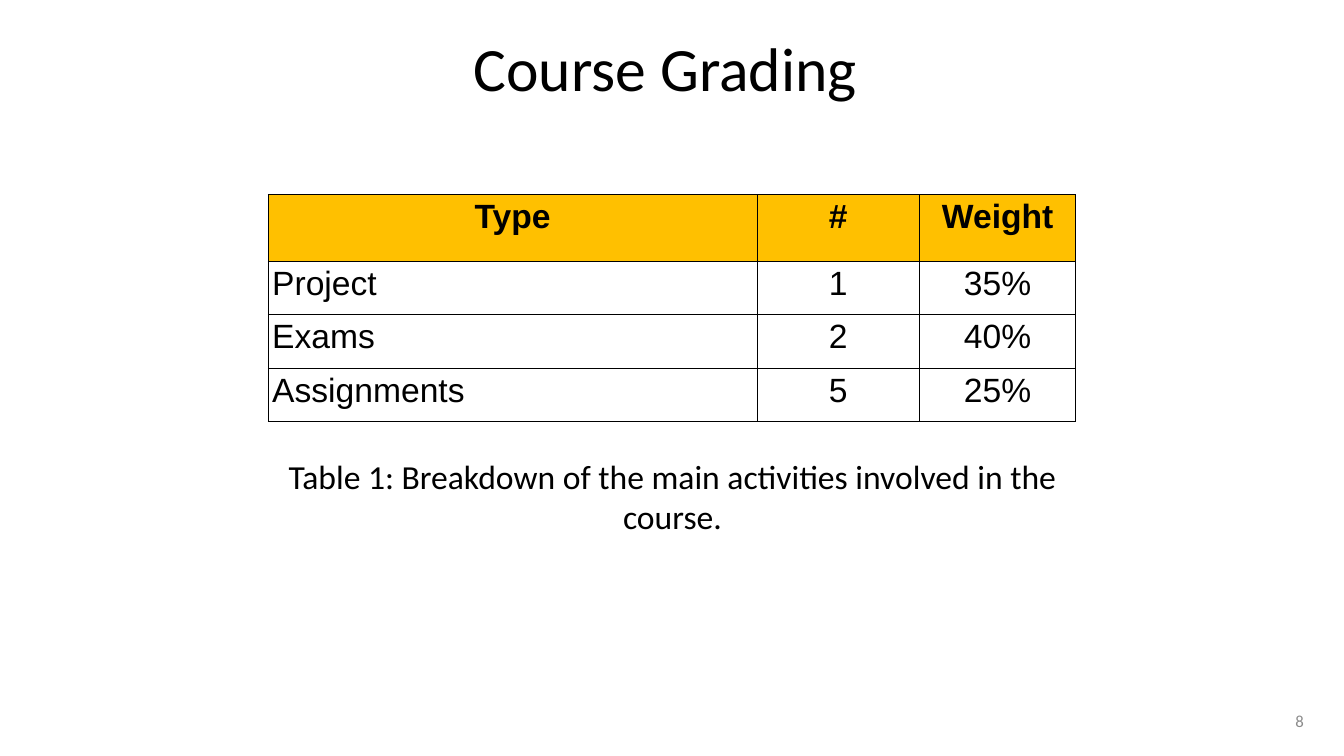
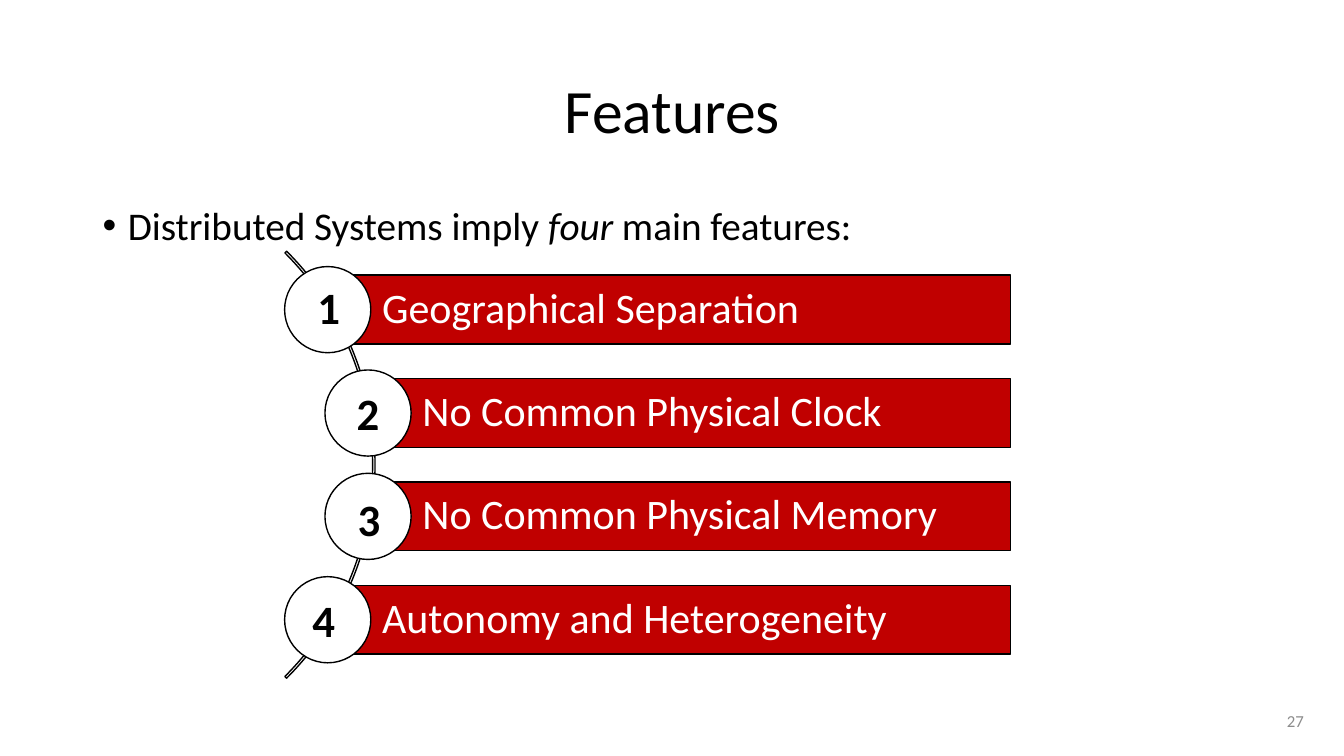
from lxml.etree import SubElement
from pptx import Presentation
from pptx.dml.color import RGBColor
from pptx.enum.shapes import MSO_SHAPE
from pptx.enum.text import MSO_ANCHOR, PP_ALIGN
from pptx.oxml.ns import qn
from pptx.util import Inches, Pt

BLACK = RGBColor(0x00, 0x00, 0x00)
WHITE = RGBColor(0xFF, 0xFF, 0xFF)
GRAY = RGBColor(0x8C, 0x8C, 0x8C)
AMBER = RGBColor(0xFF, 0xC0, 0x00)
RED = RGBColor(0xC0, 0x00, 0x00)
BODY_FONT, TABLE_FONT = "Calibri", "Arial"
PAGE_NUMBER_BOX = (10.03, 6.95, 3, 0.4)


def write(tf, runs, size, font=BODY_FONT, color=BLACK, bold=False,
          align=PP_ALIGN.LEFT, anchor=MSO_ANCHOR.TOP, spacing=None,
          wrap=True, bullet=None):
    """Fill a text frame with one paragraph of (text, italic) runs or a string."""
    tf.word_wrap = wrap
    tf.vertical_anchor = anchor
    p = tf.paragraphs[0]
    p.alignment = align
    if spacing:
        p.line_spacing = spacing
    if bullet:
        pPr = p._p.get_or_add_pPr()
        pPr.set("marL", str(Inches(0.25)))
        pPr.set("indent", str(-Inches(0.25)))
        SubElement(pPr, qn("a:buFont")).set("typeface", "Arial")
        SubElement(pPr, qn("a:buChar")).set("char", bullet)
    for text, italic in [(runs, False)] if isinstance(runs, str) else runs:
        r = p.add_run()
        r.text = text
        r.font.name, r.font.size = font, Pt(size)
        r.font.bold, r.font.italic = bold, italic
        r.font.color.rgb = color


def add_text(slide, box, runs, size, **fmt):
    sp = slide.shapes.add_textbox(*map(Inches, box))
    write(sp.text_frame, runs, size, **fmt)


def add_outlined(slide, kind, box, fill=None):
    """Add a preset shape with a thin black outline."""
    sp = slide.shapes.add_shape(kind, *map(Inches, box))
    sp.shadow.inherit = False
    if fill is None:
        sp.fill.background()
    else:
        sp.fill.solid()
        sp.fill.fore_color.rgb = fill
    sp.line.color.rgb = BLACK
    sp.line.width = Pt(1)
    return sp


def new_slide(prs, title, title_box, number):
    """Add a blank slide with the shared title and page number."""
    slide = prs.slides.add_slide(prs.slide_layouts[6])
    add_text(slide, title_box, title, 44, align=PP_ALIGN.CENTER,
             anchor=MSO_ANCHOR.MIDDLE, spacing=0.9)
    add_text(slide, PAGE_NUMBER_BOX, str(number), 12, color=GRAY,
             align=PP_ALIGN.RIGHT, anchor=MSO_ANCHOR.MIDDLE)
    return slide


def border_cell(cell, width=0.5):
    tcPr = cell._tc.get_or_add_tcPr()
    for side in ("a:lnL", "a:lnR", "a:lnT", "a:lnB"):
        ln = SubElement(tcPr, qn(side), w=str(Pt(width)))
        fill = SubElement(ln, qn("a:solidFill"))
        SubElement(fill, qn("a:srgbClr"), val=str(BLACK))


def add_grading_table(slide, left, top, rows, col_widths, row_heights):
    frame = slide.shapes.add_table(
        len(rows), len(col_widths), Inches(left), Inches(top),
        Inches(sum(col_widths)), Inches(sum(row_heights)))
    table = frame.table
    table.first_row = table.horz_banding = False
    for column, width in zip(table.columns, col_widths):
        column.width = Inches(width)
    for i, values in enumerate(rows):
        table.rows[i].height = Inches(row_heights[i])
        header = i == 0
        for j, value in enumerate(values):
            cell = table.cell(i, j)
            cell.margin_left = cell.margin_right = Inches(0.04)
            cell.margin_top = cell.margin_bottom = Inches(0.04)
            border_cell(cell)
            if header:
                cell.fill.solid()
                cell.fill.fore_color.rgb = AMBER
            else:
                cell.fill.background()
            centred = header or j > 0
            write(cell.text_frame, value, 24, font=TABLE_FONT, bold=header,
                  align=PP_ALIGN.CENTER if centred else PP_ALIGN.LEFT)


def add_curved_list(slide, box, items, arc_size=5.99, inset=0.4):
    """Stack numbered bars along an arc; inner bars start further right."""
    left, top, width, height = box
    bar_h = height / (1.5 * len(items) - 0.5)
    circle = 1.25 * bar_h

    # Arc behind the bars
    arc = add_outlined(slide, MSO_SHAPE.BLOCK_ARC,
                       (left - 5.52, top + (height - arc_size) / 2,
                        arc_size, arc_size))
    for i, value in enumerate((189, 27, 0.004)):
        arc.adjustments[i] = value

    for i, (text, dx, dy) in enumerate(items):
        shift = inset if 0 < i < len(items) - 1 else 0
        x, y = left + shift, top + 1.5 * bar_h * i
        middle = y + bar_h / 2

        # Bar
        bar = add_outlined(slide, MSO_SHAPE.RECTANGLE,
                           (x, y, width - shift, bar_h), RED)
        tf = bar.text_frame
        tf.margin_left = Inches(0.54)
        tf.margin_right = tf.margin_top = tf.margin_bottom = Inches(0.08)
        write(tf, text, 30, color=WHITE, anchor=MSO_ANCHOR.MIDDLE, spacing=0.9)

        # Numbered circle
        add_outlined(slide, MSO_SHAPE.OVAL,
                     (x - circle / 2, middle - circle / 2, circle, circle),
                     WHITE)
        add_text(slide, (x - 0.21 + dx, middle - 0.32 + dy, 0.43, 0.64),
                 str(i + 1), 32, bold=True, wrap=False)


def grading_slide(prs):
    slide = new_slide(prs, "Course Grading", (0.95, 0.08, 11.3, 1.25), 8)
    rows = [("Type", "#", "Weight"),
            ("Project", "1", "35%"),
            ("Exams", "2", "40%"),
            ("Assignments", "5", "25%")]
    add_grading_table(slide, 2.66, 1.93, rows, (4.85, 1.61, 1.55),
                      (0.66, 0.53, 0.53, 0.53))
    add_text(slide, (2.4, 4.47, 8.54, 0.91),
             "Table 1: Breakdown of the main activities involved in the course.",
             24, align=PP_ALIGN.CENTER)


def features_slide(prs):
    slide = new_slide(prs, "Features", (0.92, 0.4, 11.5, 1.45), 27)
    add_text(slide, (0.92, 2, 11.5, 4.76),
             [("Distributed Systems imply ", False), ("four", True),
              (" main features:", False)],
             28, align=PP_ALIGN.JUSTIFY, spacing=0.9, bullet="•")
    # Each item: text, then the small offset of its number
    items = [("Geographical Separation", 0.01, -0.03),
             ("No Common Physical Clock", 0, 0),
             ("No Common Physical Memory", 0.01, 0.03),
             ("Autonomy and Heterogeneity", -0.04, 0)]
    add_curved_list(slide, (3.25, 2.73, 6.77, 3.76), items)


def main():
    prs = Presentation()
    prs.slide_width, prs.slide_height = Inches(13.33), Inches(7.5)
    grading_slide(prs)
    features_slide(prs)
    prs.save("out.pptx")


if __name__ == "__main__":
    main()
